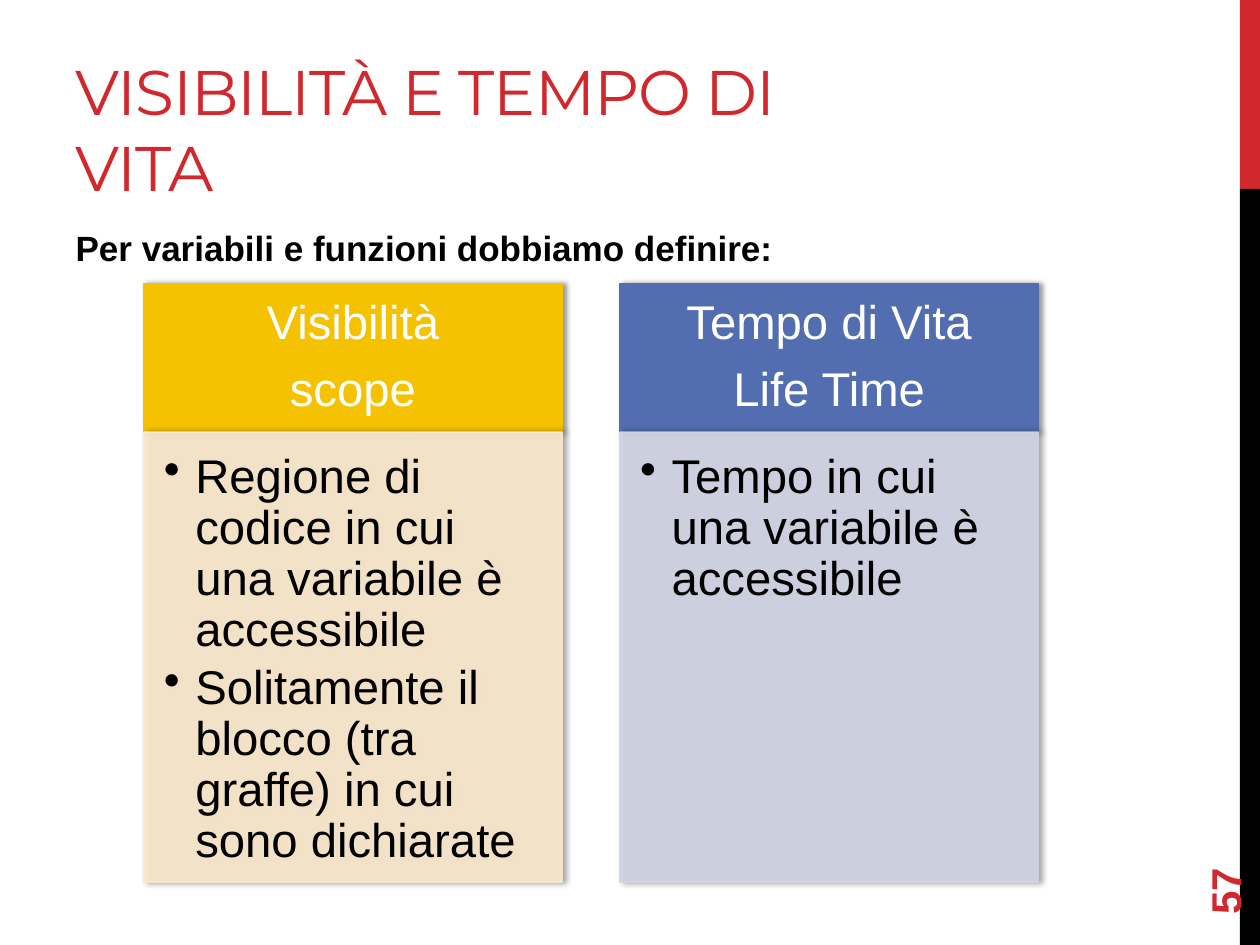
import pptx
import pptx.util
import pptx.dml.color
import pptx.enum.shapes
import pptx.enum.text
import pptx.oxml
import pptx.oxml.ns

Inch, Pt = pptx.util.Inches, pptx.util.Pt
RGB = pptx.dml.color.RGBColor.from_string
RECT = pptx.enum.shapes.MSO_SHAPE.RECTANGLE
ALIGN = pptx.enum.text.PP_ALIGN
ANCHOR = pptx.enum.text.MSO_ANCHOR
NS = pptx.oxml.ns.nsdecls("a")

# Content
TITLE = "VISIBILITÀ E TEMPO DI VITA"
LEAD = "Per variabili e funzioni dobbiamo definire:"
PAGE = "57"
CARDS = [
    {"head": ["Visibilità", "scope"],
     "list": ["Regione di codice in cui una variabile è accessibile",
              "Solitamente il blocco (tra graffe) in cui sono dichiarate"],
     "dark": "F5C201", "pale": "FBE9CC"},
    {"head": ["Tempo di Vita", "Life Time"],
     "list": ["Tempo in cui una variabile è accessibile"],
     "dark": "526DB0", "pale": "D1D4E4"},
]

# Theme
THEME = {
    "red": "D1282E", "black": "000000", "white": "FFFFFF",
    "font": "Arial", "display": "Montserrat",
    "title": 36, "lead": 20, "card": 27, "page": 24,
}

# Grid
WIDE, HIGH = 10, 7.5
BAR = 0.16
LEFT, TOP = 1.14, 2.25
CARD, GAP = 3.32, 0.46
HEAD, LIST = 1.18, 3.57


def put(parent, tag, inner="", **attrs):
    text = "".join(f' {k}="{v}"' for k, v in attrs.items())
    parent.append(pptx.oxml.parse_xml(f"<a:{tag} {NS}{text}>{inner}</a:{tag}>"))


def place(shape, *box):
    shape.left, shape.top, shape.width, shape.height = map(Inch, box)


def write(shape, lines, size, color, font="font", bold=False, anchor=ANCHOR.TOP,
          align=ALIGN.LEFT, inset=(0.1, 0.05, 0.1, 0.05)):
    frame = shape.text_frame
    frame.text = "\n".join(lines)
    frame.word_wrap = True
    frame.auto_size = pptx.enum.text.MSO_AUTO_SIZE.NONE
    frame.vertical_anchor = anchor
    (frame.margin_left, frame.margin_top,
     frame.margin_right, frame.margin_bottom) = map(Inch, inset)
    for para in frame.paragraphs:
        para.alignment = align
        for run in para.runs:
            run.font.size = Pt(THEME[size])
            run.font.name = THEME[font]
            run.font.bold = bold
            run.font.color.rgb = RGB(THEME[color])
    return frame.paragraphs


def block(slide, box, color):
    shape = slide.shapes.add_shape(RECT, *map(Inch, box))
    shape.shadow.inherit = False
    shape.fill.solid()
    shape.fill.fore_color.rgb = RGB(color)
    shape.line.fill.background()
    return shape


def panel(slide, box, color, alpha=100):
    shape = block(slide, box, color)
    shape.line.color.rgb = RGB(color)
    shape.line.width = Pt(1)
    props = shape.element.spPr
    if alpha < 100:
        for tone in props.iter(pptx.oxml.ns.qn("a:srgbClr")):
            put(tone, "alpha", val=alpha * 1000)
    glow = props.find(pptx.oxml.ns.qn("a:effectLst"))
    put(glow, "outerShdw",
        '<a:srgbClr val="000000"><a:alpha val="40000"/></a:srgbClr>',
        blurRad=Pt(3.1), dist=Pt(1.8), dir=0, rotWithShape=0)
    return shape


def card(slide, left, item):
    head = panel(slide, (left, TOP, CARD, HEAD), item["dark"])
    for para in write(head, item["head"], "card", "white", anchor=ANCHOR.MIDDLE,
                      align=ALIGN.CENTER, inset=(0.21, 0.12, 0.21, 0.12)):
        para.line_spacing = 0.9
        para.space_after = Pt(0.35 * THEME["card"])

    body = panel(slide, (left, TOP + HEAD, CARD, LIST), item["pale"], 90)
    for para in write(body, item["list"], "card", "black",
                      inset=(0.16, 0.16, 0.21, 0.24)):
        para.line_spacing = 0.9
        para.space_after = Pt(0.15 * THEME["card"])
        props = para._p.get_or_add_pPr()
        props.set("marL", str(Inch(0.25)))
        props.set("indent", str(Inch(-0.25)))
        put(props, "buChar", char="•")


def main():
    deck = pptx.Presentation()
    deck.slide_width, deck.slide_height = Inch(WIDE), Inch(HIGH)
    slide = deck.slides.add_slide(deck.slide_layouts[1])

    # Side bar: one fifth red, the rest black
    cut = HIGH / 5
    block(slide, (WIDE - BAR, 0, BAR, cut), THEME["red"])
    block(slide, (WIDE - BAR, cut, BAR, HIGH - cut), THEME["black"])

    # Title and lead line
    title, lead = slide.placeholders
    place(title, 0.5, 0.17, 6.33, 1.5)
    for para in write(title, [TITLE], "title", "red", "display", anchor=ANCHOR.BOTTOM):
        para.runs[0].font._element.set("spc", "-60")
    place(lead, 0.5, 1.75, 8.52, 0.9)
    for para in write(lead, [LEAD], "lead", "black", bold=True):
        para.space_before = Pt(0.2 * THEME["lead"])
        para.space_after = Pt(6)
        props = para._p.get_or_add_pPr()
        props.set("marL", "0")
        props.set("indent", "0")
        put(props, "buNone")

    # Cards
    for col, item in enumerate(CARDS):
        card(slide, LEFT + col * (CARD + GAP), item)

    # Page number
    page = slide.shapes.add_textbox(*map(Inch, (9, 6.44, 1.44, 0.4)))
    page.rotation = 270
    write(page, [PAGE], "page", "red", bold=True, anchor=ANCHOR.MIDDLE)

    deck.save("out.pptx")


if __name__ == "__main__":
    main()
